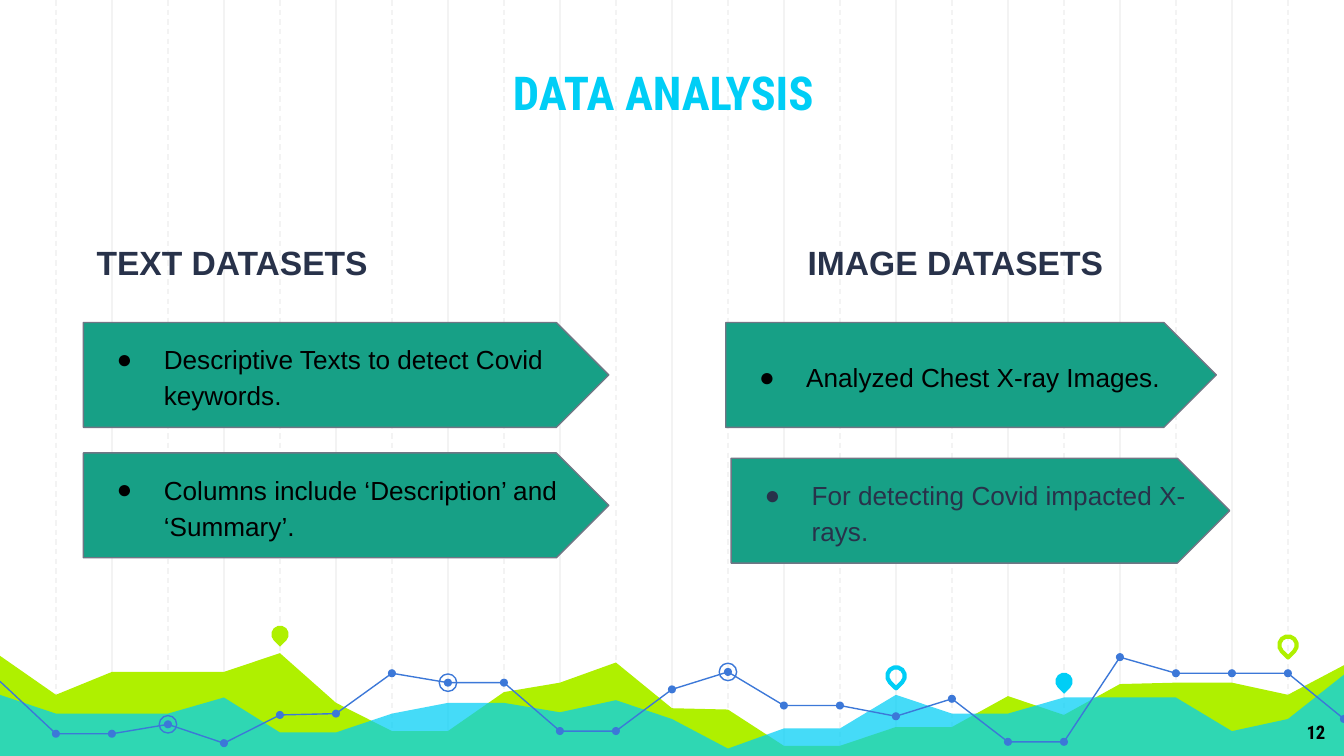
from lxml.etree import SubElement
from pptx import Presentation
from pptx.dml.color import RGBColor
from pptx.enum.dml import MSO_LINE
from pptx.enum.shapes import MSO_CONNECTOR, MSO_SHAPE as Shape
from pptx.enum.text import MSO_ANCHOR as Anchor, PP_ALIGN as Align
from pptx.oxml.ns import qn
from pptx.util import Inches, Pt

WIDTH = 10
HEIGHT = WIDTH * 9 / 16
COLUMN = WIDTH / 24
LIME, CYAN, BLUE, TEAL = "AFF000", "00CEF6", "3C78D8", "17A086"
NAVY, BLACK, GREY, PALE = "28324A", "000000", "707685", "F3F3F3"

# text, (left, top, width, height), left inset, size, font, colour, alignment, anchor
LABELS = [
    ("DATA ANALYSIS", (1.11, 0.21, 7.65, 0.78), 0.1, 25, "Roboto Condensed", CYAN,
     Align.CENTER, Anchor.BOTTOM),
    ("TEXT DATASETS", (0.62, 1.7, 4.21, 0.53), 0.1, 18, "Arial", NAVY, Align.LEFT, Anchor.TOP),
    ("IMAGE DATASETS", (5.4, 1.7, 3.37, 0.53), 0.61, 18, "Arial", NAVY, Align.LEFT, Anchor.TOP),
    ("12", (9.36, 5.28, 0.6, 0.35), 0.1, 10, "Roboto Condensed", BLACK, Align.RIGHT, Anchor.TOP),
]
ARROW_HEIGHT = 0.78
# text, (left, top, width), text colour
ARROWS = [
    ("Descriptive Texts to detect Covid keywords.", (0.62, 2.4, 3.91), BLACK),
    ("Columns include ‘Description’ and ‘Summary’.", (0.62, 3.37, 3.91), BLACK),
    ("Analyzed Chest X-ray Images.", (5.4, 2.4, 3.65), BLACK),
    ("For detecting Covid impacted X-rays.", (5.44, 3.41, 3.71), NAVY),
]
# Heights at each of the 25 grid columns, measured from the top
LIME_AREA = [4.88, 5.17, 5, 5, 5, 4.86, 5.23, 5.44, 5.44, 5.15, 5.08, 4.93, 5.27,
             5.28, 5.55, 5.55, 5.41, 5.41, 5.18, 5.32, 5.09, 5.08, 5.08, 5.17, 4.95]
CYAN_AREA = [5.17, 5.31, 5.31, 5.31, 5.19, 5.45, 5.45, 5.31, 5.23, 5.23, 5.3, 5.21, 5.35,
             5.57, 5.42, 5.42, 5.17, 5.31, 5.31, 5.19, 5.19, 5.19, 5.44, 5.35, 5.02]
TREND = [5.07, 5.46, 5.46, 5.39, 5.53, 5.32, 5.31, 5.01, 5.08, 5.08, 5.44, 5.44, 5.13,
         5, 5.25, 5.25, 5.33, 5.2, 5.52, 5.52, 4.89, 5.01, 5.01, 5.01, 5.35]
RINGED_COLUMNS = [3, 8, 13]
# column, centre height, colour, filled
PINS = [(5, 4.72, LIME, True), (16, 5.03, CYAN, False),
        (19, 5.07, CYAN, True), (23, 4.8, LIME, False)]
DOT_SIZE, MARK_SIZE = 0.06, 0.13

prs = Presentation()
prs.slide_width, prs.slide_height = Inches(WIDTH), Inches(HEIGHT)
slide = prs.slides.add_slide(prs.slide_layouts[6])
shapes = slide.shapes


def rgb(value):
    return RGBColor.from_string(value)


def paint(shape, fill=None, line=None, weight=0.75):
    shape.shadow.inherit = False
    if fill:
        shape.fill.solid()
        shape.fill.fore_color.rgb = rgb(fill)
    else:
        shape.fill.background()
    if line:
        shape.line.color.rgb = rgb(line)
        shape.line.width = Pt(weight)
    else:
        shape.line.fill.background()
    return shape


def add_centred(kind, x, y, size, **colours):
    box = (Inches(v) for v in (x - size / 2, y - size / 2, size, size))
    return paint(shapes.add_shape(kind, *box), **colours)


def add_profile(heights, filled, **colours):
    """Draw heights across the columns, closed down to the slide's foot if filled."""
    points = [(i * COLUMN, y) for i, y in enumerate(heights)]
    if filled:
        points += [(WIDTH, HEIGHT), (0, HEIGHT)]
    points = [(Inches(x), Inches(y)) for x, y in points]
    builder = shapes.build_freeform(*points[0])
    builder.add_line_segments(points[1:], close=filled)
    return paint(builder.convert_to_shape(), **colours)


def set_text(shape, text, size, font, colour, inset=0.1, bold=False,
             align=Align.LEFT, anchor=Anchor.MIDDLE, bullet=False):
    frame = shape.text_frame
    frame.word_wrap = True
    frame.vertical_anchor = anchor
    frame.margin_left = Inches(inset)
    frame.margin_right = frame.margin_top = frame.margin_bottom = Inches(0.1)
    frame.text = text
    paragraph = frame.paragraphs[0]
    paragraph.alignment = align
    if bullet:
        paragraph.line_spacing = 1.15
        props = paragraph._p.get_or_add_pPr()
        props.set("marL", str(Inches(0.5)))
        props.set("indent", str(Inches(-0.35)))
        SubElement(SubElement(props, qn("a:buClr")), qn("a:srgbClr"), val=colour)
        SubElement(props, qn("a:buFont"), typeface="Arial")
        SubElement(props, qn("a:buChar"), char="●")
    run_font = paragraph.runs[0].font
    run_font.size, run_font.name, run_font.bold = Pt(size), font, bold
    run_font.color.rgb = rgb(colour)


# Grid: solid lines on even columns, dashed on odd ones
for column in [*range(2, 23, 2), *range(1, 24, 2)]:
    x = Inches(column * COLUMN)
    grid_line = shapes.add_connector(MSO_CONNECTOR.STRAIGHT, x, 0, x, Inches(HEIGHT))
    grid_line.line.color.rgb = rgb(PALE)
    grid_line.line.width = Pt(0.75)
    if column % 2:
        grid_line.line.dash_style = MSO_LINE.DASH
    SubElement(grid_line._element.spPr, qn("a:effectLst"))

# Landscape of areas, trend line and markers
add_profile(LIME_AREA, True, fill=LIME)
cyan_area = add_profile(CYAN_AREA, True, fill=CYAN)
cyan_colour = cyan_area._element.spPr.find(f"{qn('a:solidFill')}/{qn('a:srgbClr')}")
SubElement(cyan_colour, qn("a:alpha"), val="73000")
add_profile(TREND, False, line=BLUE)
for column, y in enumerate(TREND[1:], start=1):
    add_centred(Shape.OVAL, column * COLUMN, y, DOT_SIZE, fill=BLUE)
for column in RINGED_COLUMNS:
    add_centred(Shape.OVAL, column * COLUMN, TREND[column], MARK_SIZE, line=BLUE)
for column, y, colour, filled in PINS:
    colours = {"fill": colour} if filled else {"line": colour, "weight": 2.25}
    pin = add_centred(Shape.TEAR, column * COLUMN, y, MARK_SIZE, **colours)
    pin.rotation = 135

for text, box, inset, size, font, colour, align, anchor in LABELS:
    label = shapes.add_textbox(*map(Inches, box))
    set_text(label, text, size, font, colour, inset, True, align, anchor)

for text, place, colour in ARROWS:
    arrow = shapes.add_shape(Shape.PENTAGON, *map(Inches, (*place, ARROW_HEIGHT)))
    paint(arrow, fill=TEAL, line=GREY)
    set_text(arrow, text, 14, "Arial", colour, bullet=True)

prs.save("out.pptx")
